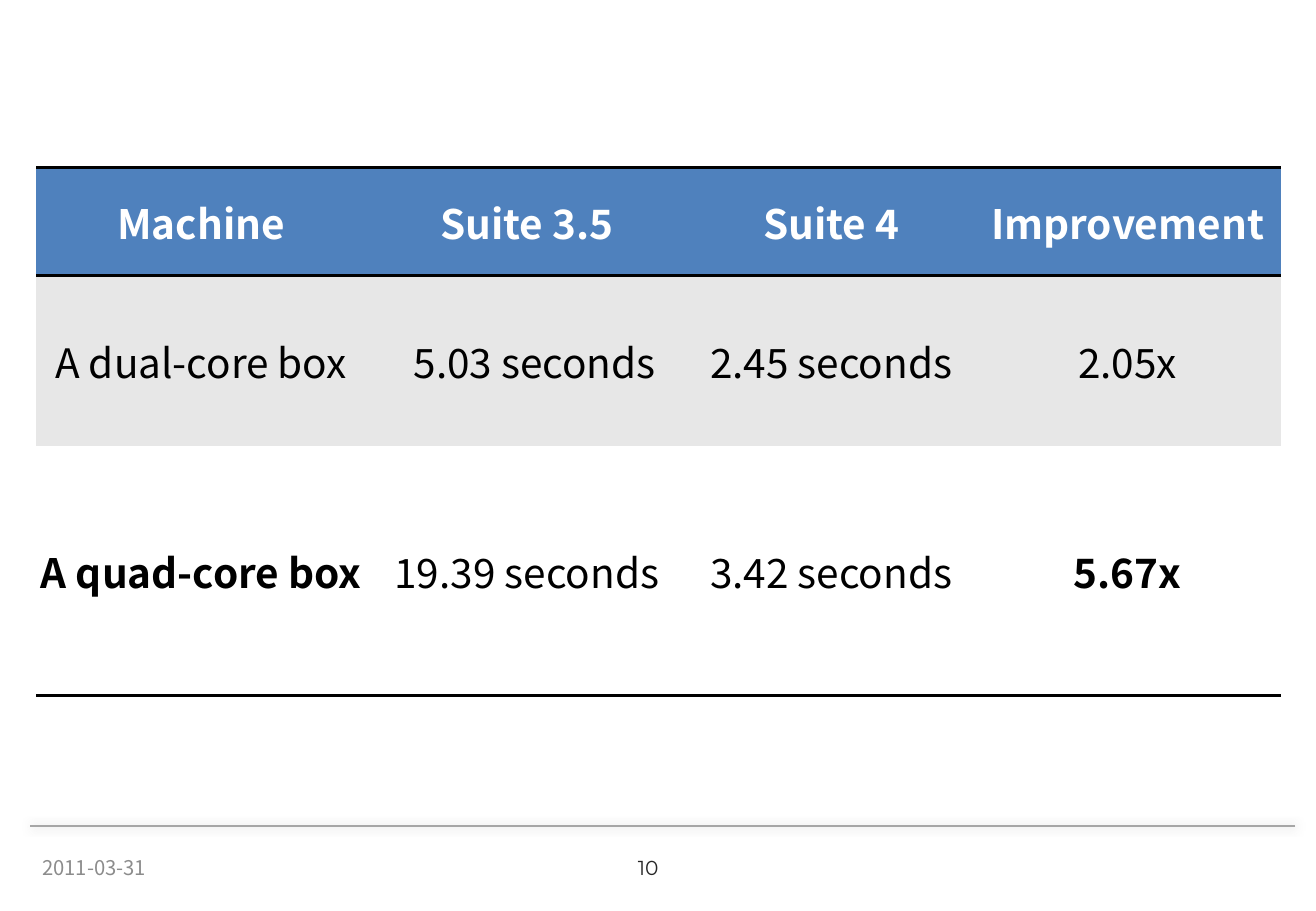
"""Build a slide that compares run times on two machines."""
from dataclasses import dataclass

from lxml import etree
from pptx import Presentation
from pptx.dml.color import RGBColor
from pptx.enum.shapes import MSO_CONNECTOR
from pptx.enum.text import MSO_ANCHOR, PP_ALIGN
from pptx.oxml.ns import qn
from pptx.slide import Slide
from pptx.table import _Cell
from pptx.text.text import _Paragraph
from pptx.util import Inches, Pt

STRAIGHT = MSO_CONNECTOR.STRAIGHT
MIDDLE = MSO_ANCHOR.MIDDLE
LEFT = PP_ALIGN.LEFT
CENTER = PP_ALIGN.CENTER


@dataclass(frozen=True)
class Theme:
    body_font: str = "Noto Sans CJK KR"
    number_font: str = "Montserrat"
    table_size: int = 24
    footer_size: int = 12
    rule_width: float = 2
    header_fill: str = "4F81BD"
    header_text: str = "FFFFFF"
    band_fill: str = "E7E7E7"
    plain_fill: str = "FFFFFF"
    text: str = "000000"
    number: str = "262626"
    date: str = "8C8C8C"
    divider: str = "A6A6A6"
    shadow: str = "808080"


@dataclass(frozen=True)
class ResultRow:
    texts: tuple[str, ...]
    height: float
    fill: str
    color: str
    bold_columns: tuple[int, ...] = ()
    rule_above: bool = False
    rule_below: bool = False


@dataclass(frozen=True)
class FooterItem:
    text: str
    left: float
    width: float
    font: str
    color: str
    align: PP_ALIGN


THEME = Theme()
COLUMN_WIDTHS = (2.71, 2.65, 2.36, 2.52)
CELL_INDENTS = {(1, 1): 0.13}
RESULT_ROWS = (
    ResultRow(("Machine", "Suite 3.5", "Suite 4", "Improvement"), 0.89,
              THEME.header_fill, THEME.header_text, (0, 1, 2, 3), True, True),
    ResultRow(("A dual-core box", "5.03 seconds", "2.45 seconds", "2.05x"), 1.4,
              THEME.band_fill, THEME.text, rule_above=True),
    ResultRow(("A quad-core box", "19.39 seconds", "3.42 seconds", "5.67x"), 2.06,
              THEME.plain_fill, THEME.text, (0, 3), rule_below=True),
)
FOOTER_ITEMS = (
    FooterItem("10", 4.07, 2.53, THEME.number_font, THEME.number, CENTER),
    FooterItem("2011-03-31", 0.25, 1.27, THEME.body_font, THEME.date, LEFT),
)


def rgb(color: str) -> RGBColor:
    return RGBColor.from_string(color)


def write(paragraph: _Paragraph, text: str, font: str, size: int, color: str,
          align: PP_ALIGN, bold: bool = False) -> None:
    paragraph.text = text
    paragraph.alignment = align
    paragraph.font.name = font
    paragraph.font.size = Pt(size)
    paragraph.font.bold = bold
    paragraph.font.color.rgb = rgb(color)


def set_borders(cell: _Cell, row: ResultRow) -> None:
    properties = cell._tc.get_or_add_tcPr()
    edges = {"lnL": False, "lnR": False, "lnT": row.rule_above, "lnB": row.rule_below}
    for position, (edge, ruled) in enumerate(edges.items()):
        border = etree.Element(qn(f"a:{edge}"))
        if ruled:
            border.set("w", str(Pt(THEME.rule_width)))
            fill = etree.SubElement(border, qn("a:solidFill"))
            etree.SubElement(fill, qn("a:srgbClr"), val=THEME.text)
        else:
            etree.SubElement(border, qn("a:noFill"))
        properties.insert(position, border)


def add_results(slide: Slide) -> None:
    height = sum(row.height for row in RESULT_ROWS)
    table = slide.shapes.add_table(
        len(RESULT_ROWS), len(COLUMN_WIDTHS), Inches(0.3), Inches(1.38),
        Inches(sum(COLUMN_WIDTHS)), Inches(height)).table
    for column, width in zip(table.columns, COLUMN_WIDTHS):
        column.width = Inches(width)
    for row_index, row in enumerate(RESULT_ROWS):
        table.rows[row_index].height = Inches(row.height)
        for column_index, text in enumerate(row.texts):
            cell = table.cell(row_index, column_index)
            cell.margin_left = Inches(CELL_INDENTS.get((row_index, column_index), 0))
            cell.margin_right = cell.margin_top = cell.margin_bottom = 0
            cell.vertical_anchor = MIDDLE
            cell.fill.solid()
            cell.fill.fore_color.rgb = rgb(row.fill)
            set_borders(cell, row)
            write(cell.text_frame.paragraphs[0], text, THEME.body_font, THEME.table_size,
                  row.color, CENTER, column_index in row.bold_columns)


def add_divider(slide: Slide) -> None:
    divider = slide.shapes.add_connector(
        STRAIGHT, Inches(10.66), Inches(6.8), Inches(0.25), Inches(6.8))
    divider.line.color.rgb = rgb(THEME.divider)
    divider.line.width = Pt(0.75)
    effects = etree.SubElement(divider._element.spPr, qn("a:effectLst"))
    shadow = etree.SubElement(effects, qn("a:outerShdw"), blurRad=str(Pt(6)), dist="0")
    color = etree.SubElement(shadow, qn("a:srgbClr"), val=THEME.shadow)
    etree.SubElement(color, qn("a:alpha"), val="60000")


def add_footer_item(slide: Slide, item: FooterItem) -> None:
    frame = slide.shapes.add_textbox(
        Inches(item.left), Inches(6.94), Inches(item.width), Inches(0.4)).text_frame
    frame.word_wrap = True
    frame.vertical_anchor = MIDDLE
    write(frame.paragraphs[0], item.text, item.font, THEME.footer_size,
          item.color, item.align)


def main() -> None:
    deck = Presentation()
    deck.slide_width = Inches(10.83)
    deck.slide_height = Inches(7.5)
    slide = deck.slides.add_slide(deck.slide_layouts.get_by_name("Blank"))
    add_divider(slide)
    add_results(slide)
    for item in FOOTER_ITEMS:
        add_footer_item(slide, item)
    deck.save("out.pptx")


if __name__ == "__main__":
    main()
